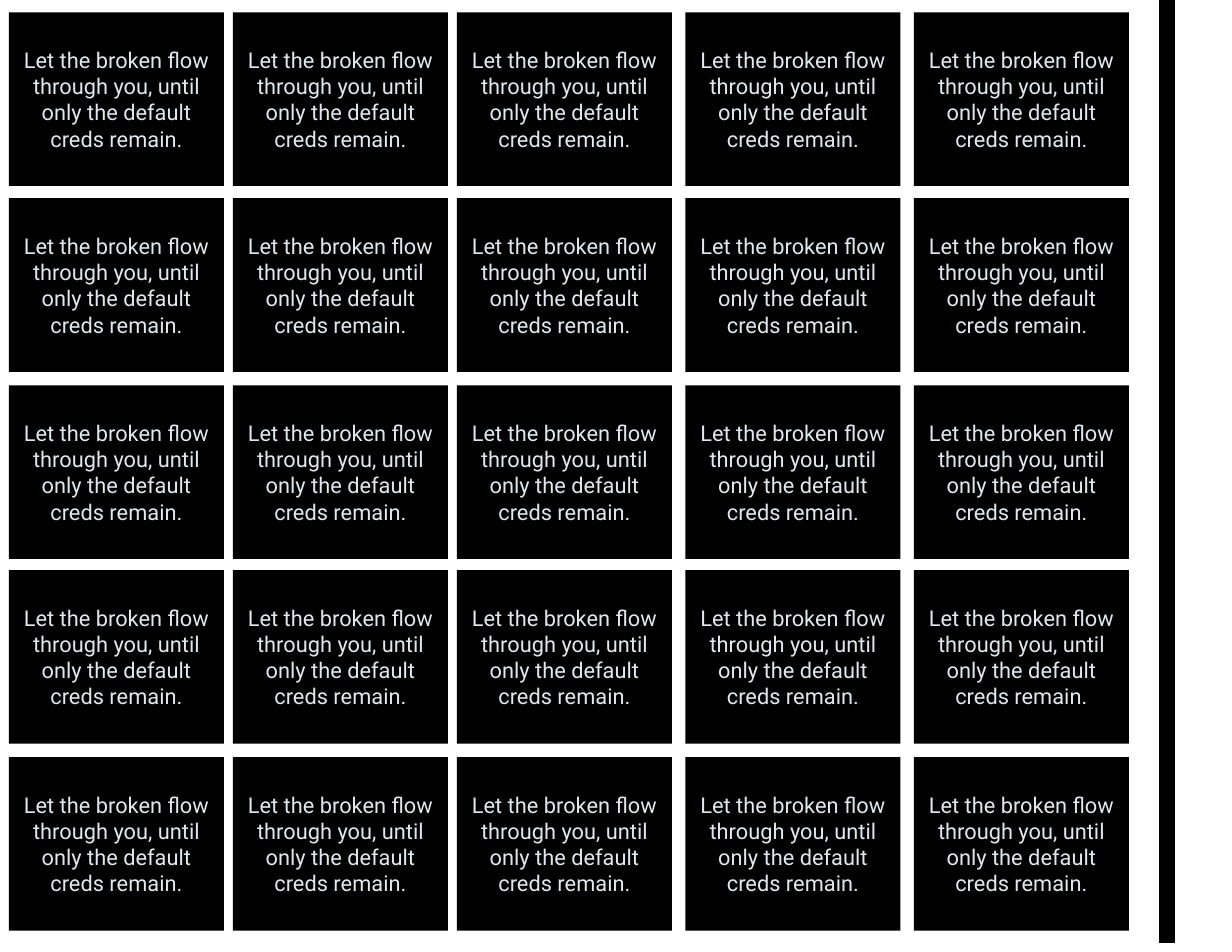
from pptx import Presentation
from pptx.dml.color import RGBColor
from pptx.enum.shapes import MSO_CONNECTOR, MSO_SHAPE
from pptx.enum.text import MSO_ANCHOR, PP_ALIGN
from pptx.oxml.ns import qn
from pptx.util import Inches, Pt
from lxml.etree import SubElement

COLORS = {"black": "000000", "text": "E1E8ED", "white": "FFFFFF"}
MESSAGE = "Let the broken flow through you, until only the default creds remain."
COLUMN_LEFTS = [0.08, 2.08, 4.08, 6.12, 8.16]
ROW_TOPS = [0.11, 1.77, 3.44, 5.09, 6.76]
CARD_WIDTH, CARD_HEIGHT = 1.92, 1.55

deck = Presentation()
deck.slide_width = Inches(11)
deck.slide_height = Inches(8.5)
page = deck.slides.add_slide(deck.slide_layouts[6])
page.background.fill.solid()
page.background.fill.fore_color.rgb = RGBColor.from_string(COLORS["white"])

# Thick rule at the right edge of the sheet
rule = page.shapes.add_connector(
    MSO_CONNECTOR.STRAIGHT, Inches(10.42), 0, Inches(10.42), Inches(8.42))
rule.line.color.rgb = RGBColor.from_string(COLORS["black"])
rule.line.width = Pt(9.75)
SubElement(rule._element.spPr, qn("a:effectLst"))

# Grid of identical cards, filled column by column
for left in COLUMN_LEFTS:
    for top in ROW_TOPS:
        card = page.shapes.add_shape(
            MSO_SHAPE.RECTANGLE, Inches(left), Inches(top),
            Inches(CARD_WIDTH), Inches(CARD_HEIGHT))
        card.shadow.inherit = False
        card.fill.solid()
        card.fill.fore_color.rgb = RGBColor.from_string(COLORS["black"])
        card.line.fill.background()
        frame = card.text_frame
        frame.word_wrap = True
        frame.vertical_anchor = MSO_ANCHOR.MIDDLE
        para = frame.paragraphs[0]
        para.text = MESSAGE
        para.alignment = PP_ALIGN.CENTER
        para.font.name = "Roboto"
        para.font.size = Pt(14)
        para.font.color.rgb = RGBColor.from_string(COLORS["text"])

deck.save("out.pptx")
